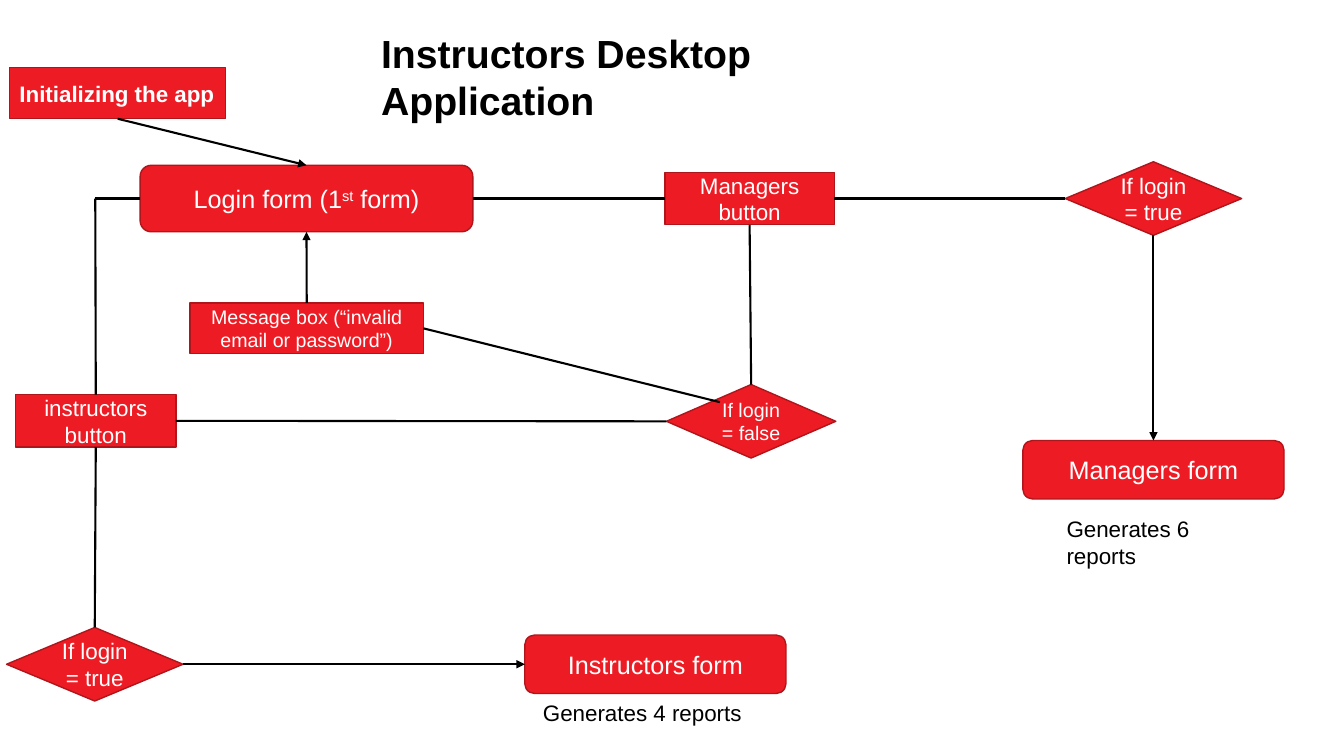
from typing import NamedTuple

from lxml import etree
from pptx import Presentation
from pptx.dml.color import RGBColor
from pptx.enum.shapes import MSO_CONNECTOR, MSO_SHAPE
from pptx.enum.text import MSO_ANCHOR, MSO_AUTO_SIZE, PP_ALIGN
from pptx.oxml.ns import qn
from pptx.util import Inches, Pt

RECT = MSO_SHAPE.RECTANGLE
ROUND = MSO_SHAPE.ROUNDED_RECTANGLE
TEST = MSO_SHAPE.FLOWCHART_DECISION
LINE = MSO_CONNECTOR.STRAIGHT
LEFT, MID = PP_ALIGN.LEFT, PP_ALIGN.CENTER
HIGH, CORE = MSO_ANCHOR.TOP, MSO_ANCHOR.MIDDLE
GROW, FIXED = MSO_AUTO_SIZE.SHAPE_TO_FIT_TEXT, MSO_AUTO_SIZE.NONE

RED, EDGE, WHITE, BLACK = "ED1C24", "AF151B", "FFFFFF", "000000"
FONT = "Arial"
COLS, ROWS = 133.3, 75
CELL = Inches(0.1)
TOP, WEST, BASE, EAST = range(4)


class Area(NamedTuple):
    col: float
    row: float
    wide: float
    high: float


class Box(NamedTuple):
    key: str
    kind: int
    area: Area
    runs: list[str]
    size: int
    bold: bool = False
    align: int = MID


class Note(NamedTuple):
    text: str
    area: Area


class Spot(NamedTuple):
    col: float
    row: float


class Port(NamedTuple):
    key: str
    side: int


class Link(NamedTuple):
    start: Port | Spot
    end: Port | Spot
    arrow: bool = False


TITLE = Note("Instructors Desktop Application", Area(36.8, 2.4, 58.9, 9.5))

BOXES = [
    Box("start", RECT, Area(0.95, 6.7, 21.45, 5.08), ["Initializing the app"], 16, True, LEFT),
    Box("login", ROUND, Area(13.9, 16.4, 33, 6.6), ["Login form (1", "^st", " form)"], 18),
    Box("alert", RECT, Area(18.85, 30.05, 23.15, 5.05), ["Message box (“invalid email or password”)"], 14),
    Box("manage", RECT, Area(65.95, 17.1, 16.8, 5.2), ["Managers button"], 16),
    Box("teach", RECT, Area(1.55, 39.15, 15.9, 5.2), ["instructors button"], 16),
    Box("false", TEST, Area(66.1, 38.15, 16.8, 7.3), ["If login = false"], 14),
    Box("true m", TEST, Area(105.65, 16.05, 17.5, 7.3), ["If login = true"], 16),
    Box("true t", TEST, Area(0.65, 62.25, 17.5, 7.3), ["If login = true"], 16),
    Box("form m", ROUND, Area(101.45, 43.7, 25.9, 5.8), ["Managers form"], 18),
    Box("form t", ROUND, Area(52.05, 63, 25.9, 5.8), ["Instructors form"], 18),
]

NOTES = [
    Note("Generates 4 reports", Area(52.87, 68.85, 26.7, 3.7)),
    Note("Generates 6 reports", Area(104.8, 50.6, 21.3, 6.1)),
]

BEND = Spot(9.45, 19.7)
LINKS = [
    Link(Port("start", BASE), Port("login", TOP), True),
    Link(Port("login", EAST), Port("manage", WEST)),
    Link(Port("manage", EAST), Port("true m", WEST)),
    Link(Port("true m", BASE), Port("form m", TOP), True),
    Link(Port("manage", BASE), Port("false", TOP)),
    Link(Port("alert", EAST), Spot(71.4, 39.9)),
    Link(Port("false", WEST), Port("teach", EAST)),
    Link(Port("alert", TOP), Port("login", BASE), True),
    Link(Port("login", WEST), BEND),
    Link(BEND, Port("teach", TOP)),
    Link(Port("teach", BASE), Port("true t", TOP)),
    Link(Port("true t", EAST), Port("form t", WEST), True),
]


def tint(code: str) -> RGBColor:
    return RGBColor.from_string(code)


def span(count: float) -> int:
    return round(count * CELL)


def place(shape, area: Area) -> None:
    shape.left, shape.top, shape.width, shape.height = map(span, area)


def write(shape, runs: list[str], size: int, color: str, bold: bool, align, anchor, fit) -> None:
    frame = shape.text_frame
    frame.word_wrap = True
    frame.auto_size = fit
    frame.vertical_anchor = anchor
    line = frame.paragraphs[0]
    line.alignment = align
    for text in runs:
        run = line.add_run()
        run.text = text.lstrip("^")
        font = run.font
        font.name, font.size, font.bold = FONT, Pt(size), bold
        font.color.rgb = tint(color)
        if text.startswith("^"):
            run._r.get_or_add_rPr().set("baseline", "30000")


def draw_box(slide, box: Box):
    shape = slide.shapes.add_shape(box.kind, *map(span, box.area))
    shape.shadow.inherit = False
    shape.fill.solid()
    shape.fill.fore_color.rgb = tint(RED)
    shape.line.color.rgb = tint(EDGE)
    shape.line.width = Pt(1)
    write(shape, box.runs, box.size, WHITE, box.bold, box.align, CORE, FIXED)
    return shape


def draw_note(slide, note: Note) -> None:
    shape = slide.shapes.add_textbox(*map(span, note.area))
    write(shape, [note.text], 16, BLACK, False, LEFT, HIGH, GROW)


def point(end: Port | Spot) -> tuple[int, int]:
    return (span(end.col), span(end.row)) if isinstance(end, Spot) else (0, 0)


def draw_link(slide, link: Link, forms: dict) -> None:
    wire = slide.shapes.add_connector(LINE, *point(link.start), *point(link.end))
    if isinstance(link.start, Port):
        wire.begin_connect(forms[link.start.key], link.start.side)
    if isinstance(link.end, Port):
        wire.end_connect(forms[link.end.key], link.end.side)
    wire.line.color.rgb = tint(BLACK)
    wire.line.width = Pt(1.5)
    if link.arrow:
        etree.SubElement(wire.line._get_or_add_ln(), qn("a:tailEnd"), type="triangle")
    etree.SubElement(wire._element.spPr, qn("a:effectLst"))


def main() -> None:
    deck = Presentation()
    deck.slide_width, deck.slide_height = span(COLS), span(ROWS)
    slide = deck.slides.add_slide(deck.slide_layouts[5])
    title = slide.shapes.title
    place(title, TITLE.area)
    write(title, [TITLE.text], 28, BLACK, True, LEFT, HIGH, GROW)
    forms = {box.key: draw_box(slide, box) for box in BOXES}
    for link in LINKS:
        draw_link(slide, link, forms)
    for note in NOTES:
        draw_note(slide, note)
    deck.save("out.pptx")


if __name__ == "__main__":
    main()
